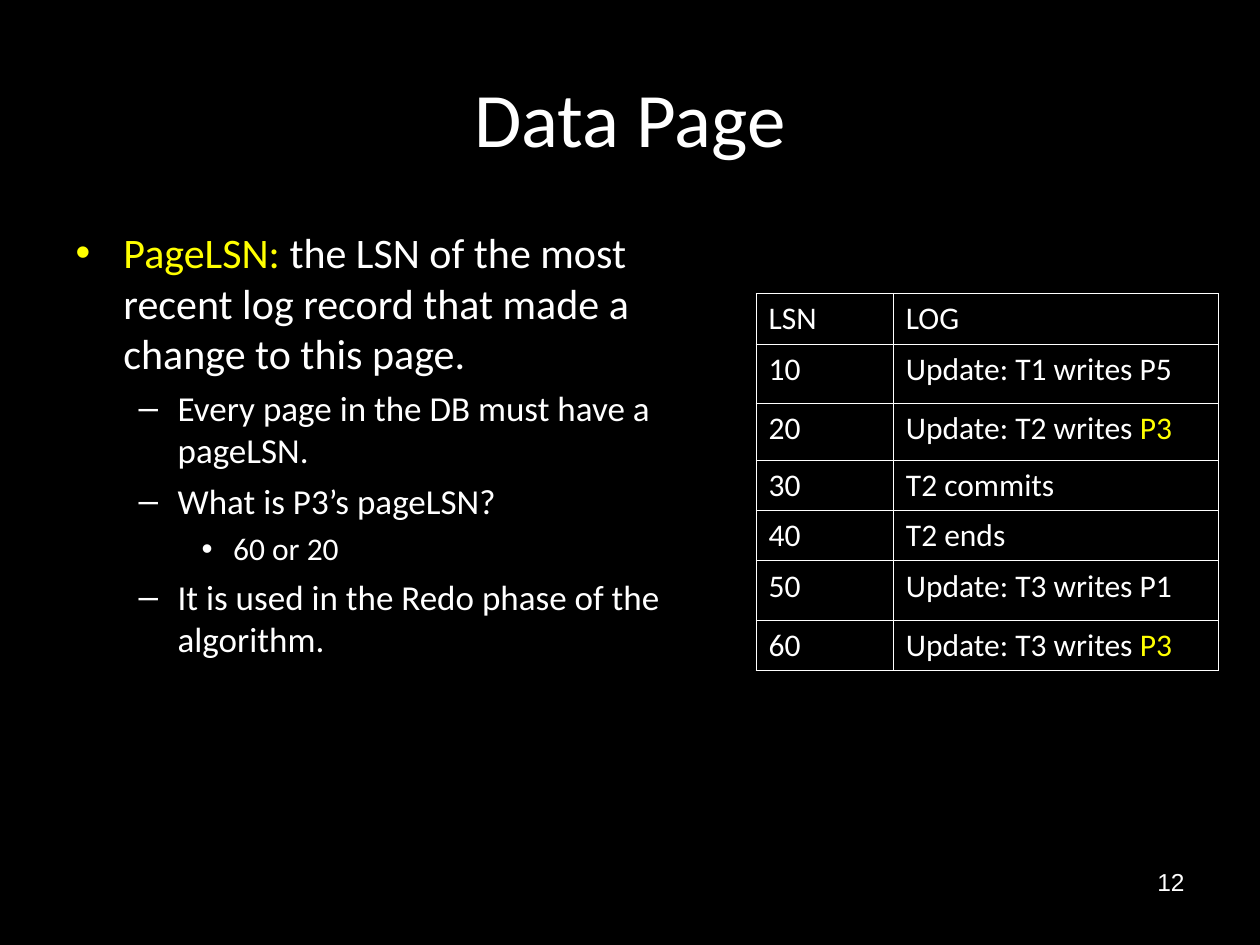
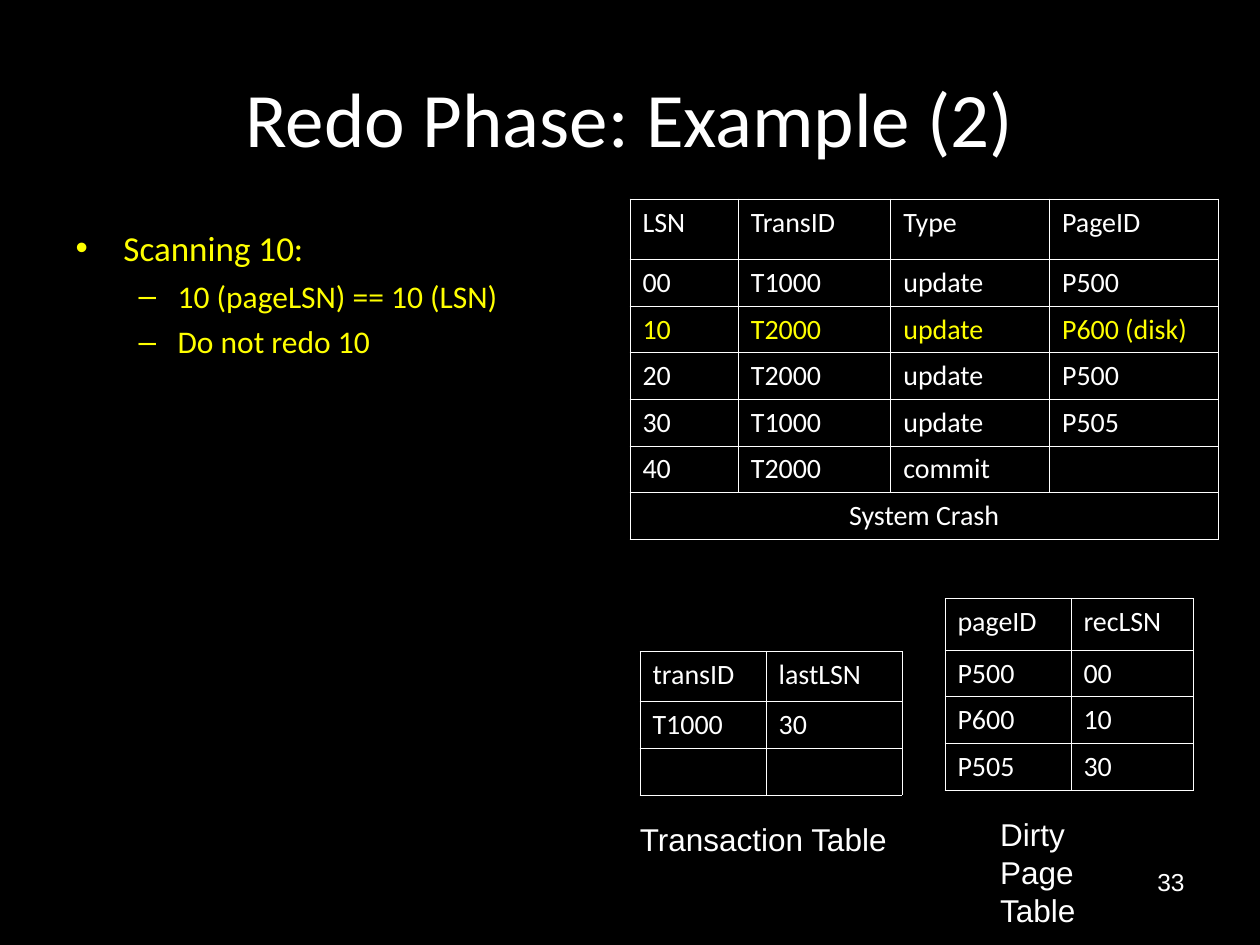
from dataclasses import dataclass

from lxml.etree import SubElement
from pptx import Presentation
from pptx.dml.color import RGBColor
from pptx.enum.text import MSO_ANCHOR, MSO_AUTO_SIZE, PP_ALIGN
from pptx.oxml import parse_xml
from pptx.oxml.ns import nsdecls, qn
from pptx.util import Inches, Pt

COLORS = {"background": "000000", "text": "FFFFFF", "highlight": "FFFF00"}
HEAD_FONT, LABEL_FONT = "Calibri", "Arial"
BORDER_WIDTH = Pt(0.45)


@dataclass(frozen=True)
class Level:
    bullet: str
    left: float
    hanging: float


@dataclass(frozen=True)
class Item:
    text: str
    level: int
    size: int


@dataclass(frozen=True)
class Grid:
    left: float
    top: float
    widths: tuple[float, ...]
    heights: tuple[float, ...]
    size: int
    rows: tuple[tuple[str, ...], ...]


@dataclass(frozen=True)
class Label:
    text: str
    left: float
    top: float
    width: float
    height: float
    size: int = 18
    align: PP_ALIGN = PP_ALIGN.LEFT
    wrap: bool = False


@dataclass(frozen=True)
class Page:
    title: str
    number: str
    body_width: float
    items: tuple[Item, ...]
    grids: tuple[Grid, ...]
    labels: tuple[Label, ...] = ()


LEVELS = (Level("•", 0.38, 0.38), Level("–", 0.81, 0.31), Level("•", 1.25, 0.25))

PAGES = (
    Page(
        "Data Page", "12", 5.25,
        (
            Item("*PageLSN:* the LSN of the most recent log record that made a change to this page.", 0, 24),
            Item("Every page in the DB must have a pageLSN.", 1, 20),
            Item("What is P3’s pageLSN?", 1, 20),
            Item("60 or 20", 2, 18),
            Item("It is used in the Redo phase of the algorithm.", 1, 20),
        ),
        (
            Grid(6, 2.33, (1.09, 2.58), (0.4, 0.47, 0.45, 0.4, 0.4, 0.47, 0.4), 18, (
                ("LSN", "LOG"),
                ("10", "Update: T1 writes P5"),
                ("20", "Update: T2 writes *P3*"),
                ("30", "T2 commits"),
                ("40", "T2 ends"),
                ("50", "Update: T3 writes P1"),
                ("60", "Update: T3 writes *P3*"),
            )),
        ),
    ),
    Page(
        "Redo Phase: Example (2)", "33", 4.33,
        (
            Item("*Scanning 10:*", 0, 20),
            Item("*10 (pageLSN) == 10 (LSN)*", 1, 18),
            Item("*Do not redo 10*", 1, 18),
        ),
        (
            Grid(5, 1.58, (0.86, 1.21, 1.26, 1.34), (0.48,) + (0.37,) * 6, 16, (
                ("LSN", "TransID", "Type", "PageID"),
                ("00", "T1000", "update", "P500"),
                ("*10*", "*T2000*", "*update*", "*P600 (disk)*"),
                ("20", "T2000", "update", "P500"),
                ("30", "T1000", "update", "P505"),
                ("40", "T2000", "commit", ""),
                ("System Crash",),
            )),
            Grid(7.5, 4.75, (1, 0.97), (0.41,) + (0.37,) * 3, 16, (
                ("pageID", "recLSN"),
                ("P500", "00"),
                ("P600", "10"),
                ("P505", "30"),
            )),
            Grid(5.08, 5.17, (1, 1.08), (0.4, 0.37, 0.37), 16, (
                ("transID", "lastLSN"),
                ("T1000", "30"),
                ("", ""),
            )),
        ),
        (
            Label("Transaction Table", 4.98, 6.46, 2.2, 0.4),
            Label("Dirty Page\nTable", 7.84, 6.42, 1.36, 0.7),
        ),
    ),
)


def style_run(r, size: float, font: str, color: str = "text") -> None:
    """Set the size, typeface and colour of a run."""
    r.font.size = Pt(size)
    r.font.name = font
    r.font.color.rgb = RGBColor.from_string(COLORS[color])


def write_marked(p, text: str, size: float) -> None:
    """Write text whose parts between asterisks are highlighted."""
    for index, part in enumerate(text.split("*")):
        if part:
            r = p.add_run()
            r.text = part
            style_run(r, size, HEAD_FONT, "highlight" if index % 2 else "text")


def add_bullet(p, level: Level, color: str) -> None:
    """Give a paragraph its indent, bullet colour and bullet character."""
    pPr = p._p.get_or_add_pPr()
    pPr.set("marL", str(Inches(level.left)))
    pPr.set("indent", str(-Inches(level.hanging)))
    clr = SubElement(pPr, qn("a:buClr"))
    SubElement(clr, qn("a:srgbClr")).set("val", COLORS[color])
    SubElement(pPr, qn("a:buFont")).set("typeface", LABEL_FONT)
    SubElement(pPr, qn("a:buChar")).set("char", level.bullet)


def place(sp, left: float, top: float, width: float, height: float) -> None:
    """Move and size a shape."""
    sp.left, sp.top = Inches(left), Inches(top)
    sp.width, sp.height = Inches(width), Inches(height)


def fill_title(sp, title: str) -> None:
    """Place and format the slide title."""
    place(sp, 0.5, 0.3, 9, 1.25)
    tf = sp.text_frame
    tf.text = title
    tf.auto_size = MSO_AUTO_SIZE.NONE
    tf.vertical_anchor = MSO_ANCHOR.MIDDLE
    tf.paragraphs[0].alignment = PP_ALIGN.CENTER
    style_run(tf.paragraphs[0].runs[0], 44, HEAD_FONT)


def fill_body(sp, page: Page) -> None:
    """Place the body and write its bulleted items."""
    place(sp, 0.5, 1.75, page.body_width, 4.95)
    tf = sp.text_frame
    tf.auto_size = MSO_AUTO_SIZE.NONE
    for index, item in enumerate(page.items):
        p = tf.add_paragraph() if index else tf.paragraphs[0]
        p.level = item.level
        add_bullet(p, LEVELS[item.level], "highlight" if item.text.startswith("*") else "text")
        p.space_before = Pt(item.size / 4 if index else 0)
        write_marked(p, item.text, item.size)


def outline_cell(cell) -> None:
    """Clear the fill of a cell and draw its four borders."""
    cell.fill.background()
    tcPr = cell._tc.get_or_add_tcPr()
    for index, side in enumerate("LRTB"):
        tcPr.insert(index, parse_xml(
            f'<a:ln{side} {nsdecls("a")} w="{BORDER_WIDTH}"><a:solidFill>'
            f'<a:srgbClr val="{COLORS["text"]}"/></a:solidFill></a:ln{side}>'))


def add_grid(slide, grid: Grid) -> None:
    """Draw a bordered table; a row with one text spans all columns."""
    n_rows, n_cols = len(grid.rows), len(grid.widths)
    table = slide.shapes.add_table(
        n_rows, n_cols, Inches(grid.left), Inches(grid.top),
        Inches(sum(grid.widths)), Inches(sum(grid.heights))).table
    table.first_row = table.horz_banding = False
    for column, width in zip(table.columns, grid.widths):
        column.width = Inches(width)
    for row, height in zip(table.rows, grid.heights):
        row.height = Inches(height)
    for cell in table.iter_cells():
        outline_cell(cell)
    for i, texts in enumerate(grid.rows):
        if len(texts) == 1:
            table.cell(i, 0).merge(table.cell(i, n_cols - 1))
            table.cell(i, 0).text_frame.paragraphs[0].alignment = PP_ALIGN.CENTER
        for j, text in enumerate(texts):
            p = table.cell(i, j).text_frame.paragraphs[0]
            write_marked(p, text, grid.size)
            if not text:
                SubElement(p._p, qn("a:endParaRPr")).set("sz", str(grid.size * 100))


def add_label(slide, label: Label) -> None:
    """Draw a plain text label."""
    sp = slide.shapes.add_textbox(
        Inches(label.left), Inches(label.top), Inches(label.width), Inches(label.height))
    tf = sp.text_frame
    tf.text = label.text
    tf.word_wrap = label.wrap
    for p in tf.paragraphs:
        p.alignment = label.align
        style_run(p.runs[0], label.size, LABEL_FONT)


def add_page(prs, page: Page) -> None:
    """Build one slide from its description."""
    slide = prs.slides.add_slide(prs.slide_layouts[1])
    add_label(slide, Label(page.number, 7.17, 6.83, 2.33, 0.52, 14, PP_ALIGN.RIGHT, True))
    fill_title(slide.shapes.title, page.title)
    fill_body(slide.placeholders[1], page)
    for grid in page.grids:
        add_grid(slide, grid)
    for label in page.labels:
        add_label(slide, label)


def main() -> None:
    """Build and save the presentation."""
    prs = Presentation()
    prs.slide_width, prs.slide_height = Inches(10), Inches(7.5)
    fill = prs.slide_master.background.fill
    fill.solid()
    fill.fore_color.rgb = RGBColor.from_string(COLORS["background"])
    for page in PAGES:
        add_page(prs, page)
    prs.save("out.pptx")


if __name__ == "__main__":
    main()
